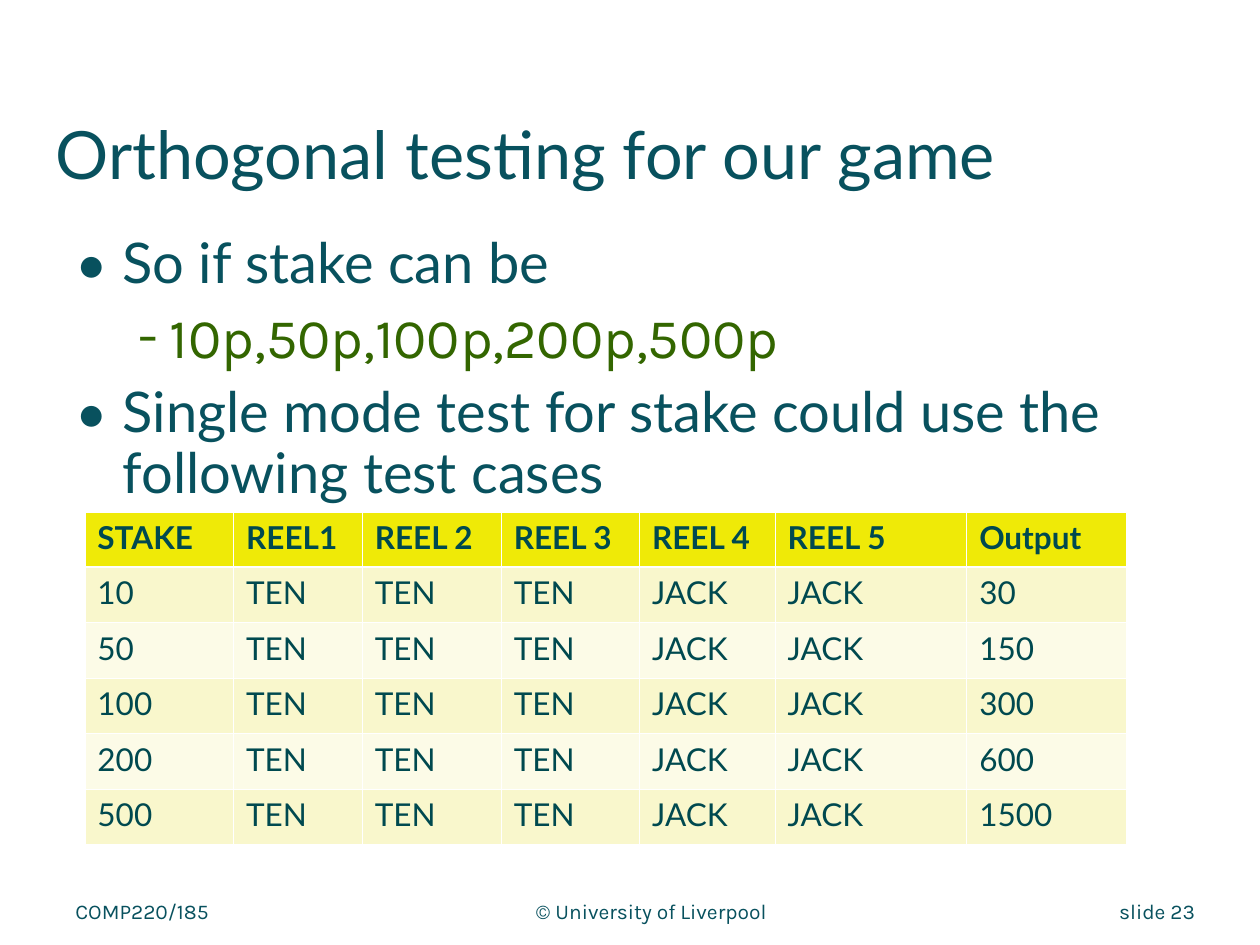
from lxml.etree import SubElement as Sub
from pptx import Presentation
from pptx.dml.color import RGBColor as RGB
from pptx.enum.text import MSO_ANCHOR as Anchor, MSO_AUTO_SIZE as Auto, PP_ALIGN as Align
from pptx.oxml.ns import qn
from pptx.util import Pt

TEAL = RGB(0x08, 0x51, 0x5E)
GREEN = RGB(0x33, 0x66, 0x00)
DARK = RGB(0x00, 0x49, 0x4F)
YELLOW = RGB(0xEF, 0xEA, 0x07)
CREAM = RGB(0xF9, 0xF7, 0xCC)
PALE = RGB(0xFC, 0xFB, 0xE7)
WHITE = RGB(0xFF, 0xFF, 0xFF)


def style(para, face, size, color, bold=False):
    font = para.font
    font.name, font.size, font.bold = face, Pt(size), bold
    font.color.rgb = color


def paint(node, color):
    fill = Sub(node, qn("a:solidFill"))
    Sub(fill, qn("a:srgbClr"), val=str(color))


deck = Presentation()
deck.slide_width, deck.slide_height = Pt(720), Pt(540)
slide = deck.slides.add_slide(deck.slide_layouts[5])
shapes = slide.shapes

title = shapes.title
title.left, title.top, title.width, title.height = Pt(24.5), Pt(61.2), Pt(675.4), Pt(51.8)
frame = title.text_frame
frame.text = "Orthogonal testing for our game"
frame.auto_size = Auto.NONE
frame.vertical_anchor = Anchor.MIDDLE
frame.paragraphs[0].alignment = Align.LEFT
style(frame.paragraphs[0], "Lato", 38, TEAL)

points = [
    ("So if stake can be", 0),
    ("10p,50p,100p,200p,500p", 1),
    ("Single mode test for stake could use the following test cases", 0),
]
looks = [("•", 27, 27, "Lato", TEAL), ("-", 54, 18, "Karla", GREEN)]
body = shapes.add_textbox(Pt(36), Pt(131), Pt(618), Pt(360)).text_frame
body.word_wrap = True
for i, (text, level) in enumerate(points):
    mark, left, hang, face, color = looks[level]
    para = body.add_paragraph() if i else body.paragraphs[0]
    para.text, para.level = text, level
    para.line_spacing = 0.9
    para.space_before = Pt(8 if i else 0)
    props = para._p.get_or_add_pPr()
    props.set("marL", str(Pt(left)))
    props.set("indent", str(-Pt(hang)))
    tint = Sub(props, qn("a:buClr"))
    Sub(tint, qn("a:srgbClr"), val=str(color))
    Sub(props, qn("a:buFont"), typeface=face)
    Sub(props, qn("a:buChar"), char=mark)
    style(para, face, 32, color)

notes = [
    ("© University of Liverpool", 288, 168.5, Align.CENTER),
    ("COMP220/185", 36, 240, Align.LEFT),
    ("slide 23", 582, 108, Align.RIGHT),
]
for text, left, width, align in notes:
    foot = shapes.add_textbox(Pt(left), Pt(510), Pt(width), Pt(30)).text_frame
    foot.word_wrap = True
    foot.text = text
    foot.paragraphs[0].alignment = align
    style(foot.paragraphs[0], "Karla", 12, TEAL)

heads = ["STAKE", "REEL1", "REEL 2", "REEL 3", "REEL 4", "REEL 5", "Output"]
reels = ["TEN"] * 3 + ["JACK"] * 2
rows = [heads] + [[str(n), *reels, str(3 * n)] for n in (10, 50, 100, 200, 500)]
widths = [85, 73.5, 79.5, 79, 77.5, 109.5, 91]
high = 31.7
table = shapes.add_table(
    len(rows), len(heads), Pt(48.5), Pt(292.5), Pt(sum(widths)), Pt(high * len(rows))
).table
table.horz_banding = False
for col, width in zip(table.columns, widths):
    col.width = Pt(width)
for r, row in enumerate(rows):
    table.rows[r].height = Pt(high)
    for c, text in enumerate(row):
        cell = table.cell(r, c)
        cell.text = text
        style(cell.text_frame.paragraphs[0], "Lato", 18, DARK, r == 0)
        props = cell._tc.get_or_add_tcPr()
        for side in "LRTB":
            thick = (r, side) in [(0, "B"), (1, "T")]
            edge = Sub(props, qn("a:ln" + side), w=str(Pt(1.47 if thick else 0.45)))
            paint(edge, WHITE)
        cell.fill.solid()
        cell.fill.fore_color.rgb = YELLOW if r == 0 else CREAM if r % 2 else PALE

deck.save("out.pptx")
